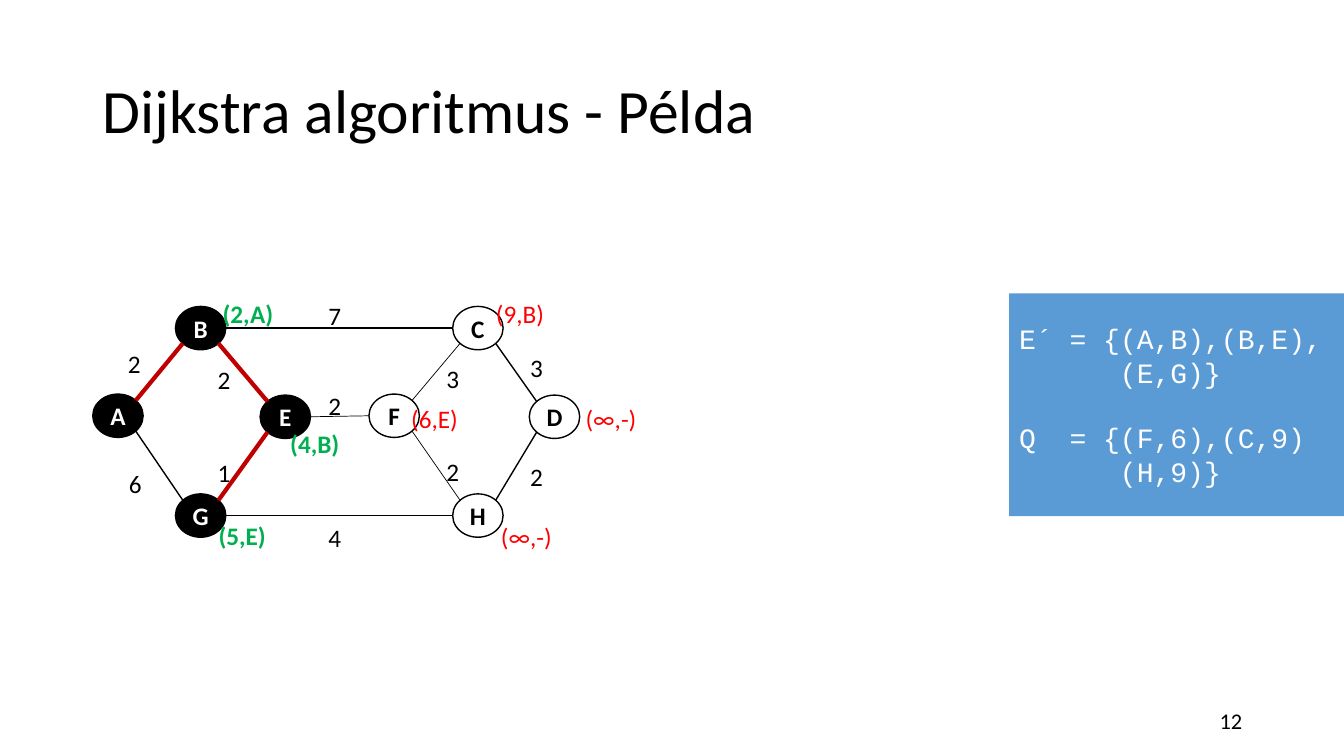
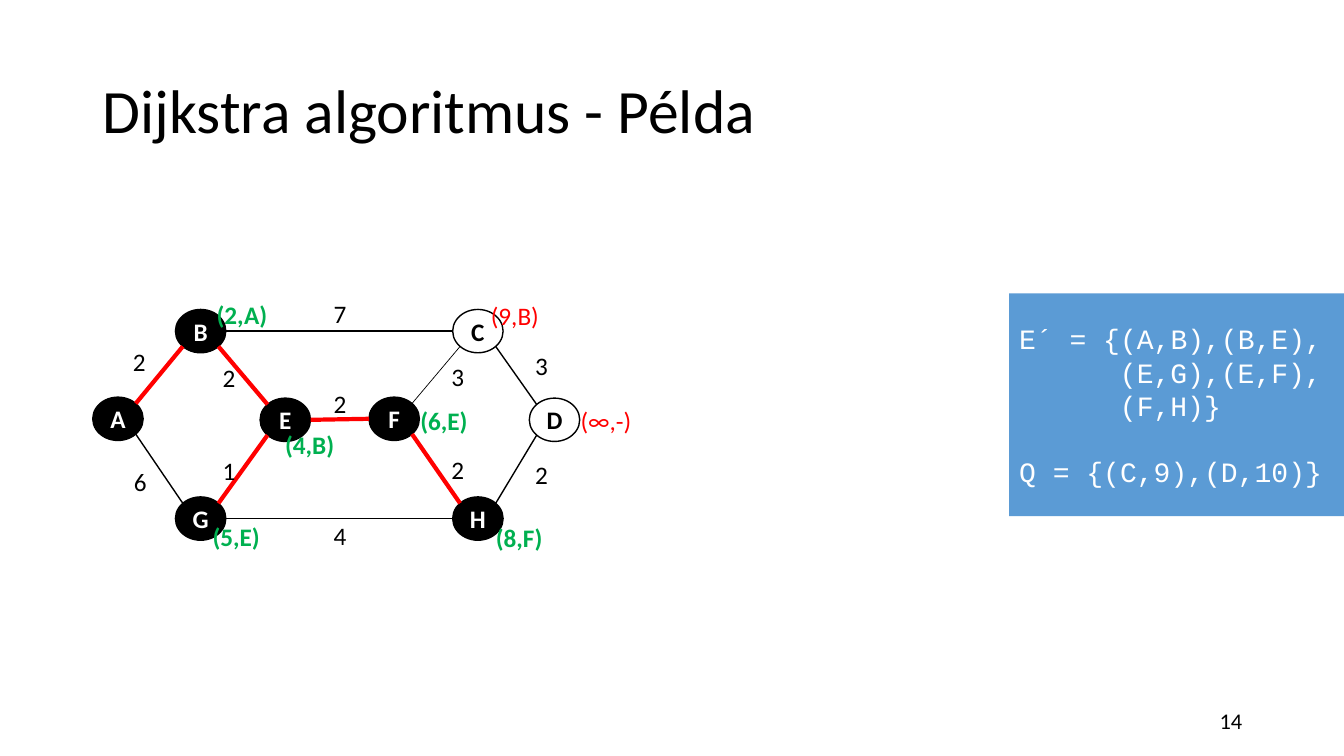
from math import sqrt

from lxml.etree import SubElement
from pptx import Presentation
from pptx.dml.color import RGBColor
from pptx.enum.shapes import MSO_CONNECTOR, MSO_SHAPE
from pptx.enum.text import MSO_ANCHOR, PP_ALIGN
from pptx.oxml.ns import qn
from pptx.util import Inches, Pt

BLACK = RGBColor(0x00, 0x00, 0x00)
WHITE = RGBColor(0xFF, 0xFF, 0xFF)
RED = RGBColor(0xFF, 0x00, 0x00)
DARK_RED = RGBColor(0xC0, 0x00, 0x00)
GREEN = RGBColor(0x00, 0xB0, 0x50)
BLUE = RGBColor(0x5B, 0x9B, 0xD5)

NODE_WIDTH, NODE_HEIGHT = 0.5, 0.43
WEIGHT_WIDTH, DISTANCE_WIDTH, LABEL_HEIGHT = 0.33, 0.75, 0.4
CODE_SIZE = 20
CODE_CHARACTER = 0.6 * CODE_SIZE  # advance of one Courier New character

# Left and top of every node
NODES = {
    "A": (0.92, 3.91), "B": (1.74, 3.04), "G": (1.74, 4.9), "E": (2.58, 3.92),
    "F": (3.66, 3.91), "C": (4.49, 3.04), "H": (4.49, 4.9), "D": (5.25, 3.92),
}
# Left node and right node: weight, left and top of the weight, line width
EDGES = {
    "AB": ("2", 1.17, 3.41, 1), "AG": ("6", 1.18, 4.6, 1),
    "BC": ("7", 3.16, 2.93, 1), "GH": ("4", 3.16, 5.13, 1),
    "HD": ("2", 5.16, 4.53, 1), "CD": ("3", 5.16, 3.45, 1),
    "BE": ("2", 2.06, 3.57, 1), "GE": ("1", 2.06, 4.49, 1),
    "EF": ("2", 3.16, 3.82, 0.5), "FC": ("3", 4.33, 3.56, 0.5),
    "FH": ("2", 4.33, 4.48, 0.5),
}
# Each distance has its text, left and top; each set is a list of lines
STEPS = [
    {
        "number": "12", "settled": "ABEG", "tree": ["AB", "BE", "GE"],
        "tree_color": DARK_RED, "node_drop": 0, "weight_shift": (0, 0),
        "distances": {
            "B": ("(2,A)", 2.11, 2.91), "E": ("(4,B)", 2.78, 4.2),
            "G": ("(5,E)", 2.07, 5.11), "F": ("(6,E)", 3.98, 3.95),
            "C": ("(9,B)", 4.82, 2.91), "D": ("(∞,-)", 5.71, 3.95),
            "H": ("(∞,-)", 4.87, 5.12),
        },
        "sets": [["E´ = {(A,B),(B,E),", "(E,G)}"], ["Q\t= {(F,6),(C,9)", "(H,9)}"]],
    },
    {
        "number": "14", "settled": "ABEGFH",
        "tree": ["AB", "BE", "GE", "EF", "FH"],
        "tree_color": RED, "node_drop": 0.03, "weight_shift": (0.05, -0.02),
        "distances": {
            "B": ("(2,A)", 2.05, 2.92), "E": ("(4,B)", 2.73, 4.21),
            "G": ("(5,E)", 2.01, 5.12), "F": ("(6,E)", 4.07, 3.97),
            "C": ("(9,B)", 4.77, 2.93), "D": ("(∞,-)", 5.66, 3.97),
            "H": ("(8,F)", 4.82, 5.13),
        },
        "sets": [["E´ = {(A,B),(B,E),", "(E,G),(E,F),", "(F,H)}"],
                 ["Q = {(C,9),(D,10)}"]],
    },
]


class Deck:
    def __init__(self):
        self.presentation = Presentation()
        self.presentation.slide_width = Inches(13.33)
        self.presentation.slide_height = Inches(7.5)
        self.slide = None

    def new_slide(self):
        layout = self.presentation.slide_layouts[6]
        self.slide = self.presentation.slides.add_slide(layout)

    def format_runs(self, paragraph, size, color, bold=False, font_name="Calibri"):
        for run in paragraph.runs:
            run.font.name = font_name
            run.font.size = Pt(size)
            run.font.bold = bold
            run.font.color.rgb = color

    def text(self, text, left, top, width, height, size=18, color=BLACK,
             bold=False, wrap=False, anchor=MSO_ANCHOR.TOP, align=PP_ALIGN.LEFT):
        box = self.slide.shapes.add_textbox(
            Inches(left), Inches(top), Inches(width), Inches(height))
        frame = box.text_frame
        frame.text = text
        frame.word_wrap = wrap
        frame.vertical_anchor = anchor
        paragraph = frame.paragraphs[0]
        paragraph.alignment = align
        self.format_runs(paragraph, size, color, bold)
        return paragraph

    def title(self, text):
        paragraph = self.text(text, 0.92, 0.4, 11.5, 1.45, size=44, wrap=True,
                              anchor=MSO_ANCHOR.MIDDLE)
        paragraph.line_spacing = 0.9

    def slide_number(self, number):
        self.text(number, 9.42, 6.95, 3, 0.4, size=16, wrap=True,
                  anchor=MSO_ANCHOR.MIDDLE, align=PP_ALIGN.RIGHT)

    def shape(self, kind, left, top, width, height, fill):
        shape = self.slide.shapes.add_shape(
            kind, Inches(left), Inches(top), Inches(width), Inches(height))
        shape.shadow.inherit = False
        shape.fill.solid()
        shape.fill.fore_color.rgb = fill
        shape.text_frame.vertical_anchor = MSO_ANCHOR.MIDDLE
        return shape

    def node(self, name, left, top, settled):
        fill, color = (BLACK, WHITE) if settled else (WHITE, BLACK)
        shape = self.shape(MSO_SHAPE.OVAL, left, top, NODE_WIDTH, NODE_HEIGHT, fill)
        shape.line.color.rgb = BLACK
        shape.line.width = Pt(1)
        frame = shape.text_frame
        frame.text = name
        frame.word_wrap = False
        frame.margin_left = frame.margin_right = 0
        frame.paragraphs[0].alignment = PP_ALIGN.CENTER
        self.format_runs(frame.paragraphs[0], 18, color, bold=True)

    def edge(self, start, end, color, width):
        """Join two nodes, left to right, at their sides or at their 45° points."""
        rise = end[1] - start[1]
        reach_x, reach_y = NODE_WIDTH / 2, 0
        if abs(rise) > NODE_HEIGHT:
            reach_x /= sqrt(2)
            reach_y = NODE_HEIGHT / 2 / sqrt(2) * (1 if rise > 0 else -1)
        center_x, center_y = NODE_WIDTH / 2, NODE_HEIGHT / 2
        connector = self.slide.shapes.add_connector(
            MSO_CONNECTOR.STRAIGHT,
            Inches(start[0] + center_x + reach_x), Inches(start[1] + center_y + reach_y),
            Inches(end[0] + center_x - reach_x), Inches(end[1] + center_y - reach_y))
        connector.line.color.rgb = color
        connector.line.width = Pt(width)
        SubElement(connector.element.spPr, qn("a:effectLst"))

    def code_panel(self, sets):
        """Show the sets; later lines of a set are indented below its first item."""
        panel = self.shape(MSO_SHAPE.RECTANGLE, 10.01, 2.91, 3.33, 2.21, BLUE)
        panel.line.fill.background()
        frame = panel.text_frame
        frame.word_wrap = True
        lines = [(row, line) for rows in sets for row, line in enumerate(rows)]
        for index, (row, line) in enumerate(lines):
            paragraph = frame.add_paragraph() if index else frame.paragraphs[0]
            paragraph.text = line
            paragraph.alignment = PP_ALIGN.LEFT
            properties = paragraph._p.get_or_add_pPr()
            if row:
                properties.set("marL", str(Pt(6 * CODE_CHARACTER)))
            elif index:
                paragraph.space_before = Pt(1.13 * CODE_SIZE)
            if "\t" in line:
                tabs = SubElement(properties, qn("a:tabLst"))
                SubElement(tabs, qn("a:tab"), pos=str(Pt(3 * CODE_CHARACTER)), algn="l")
            self.format_runs(paragraph, CODE_SIZE, WHITE, font_name="Courier New")

    def graph(self, step):
        places = {name: (left, top + step["node_drop"])
                  for name, (left, top) in NODES.items()}
        shift_x, shift_y = step["weight_shift"]
        for name, place in places.items():
            self.node(name, *place, name in step["settled"])
        for edge, (weight, left, top, width) in EDGES.items():
            in_tree = edge in step["tree"]
            self.edge(places[edge[0]], places[edge[1]],
                      step["tree_color"] if in_tree else BLACK, 3 if in_tree else width)
            self.text(weight, left + shift_x, top + shift_y, WEIGHT_WIDTH, LABEL_HEIGHT)
        for name, (distance, left, top) in step["distances"].items():
            settled = name in step["settled"]
            self.text(distance, left, top, DISTANCE_WIDTH, LABEL_HEIGHT,
                      color=GREEN if settled else RED, bold=settled)


def main():
    deck = Deck()
    for step in STEPS:
        deck.new_slide()
        deck.title("Dijkstra algoritmus - Példa")
        deck.graph(step)
        deck.code_panel(step["sets"])
        deck.slide_number(step["number"])
    deck.presentation.save("out.pptx")


if __name__ == "__main__":
    main()
